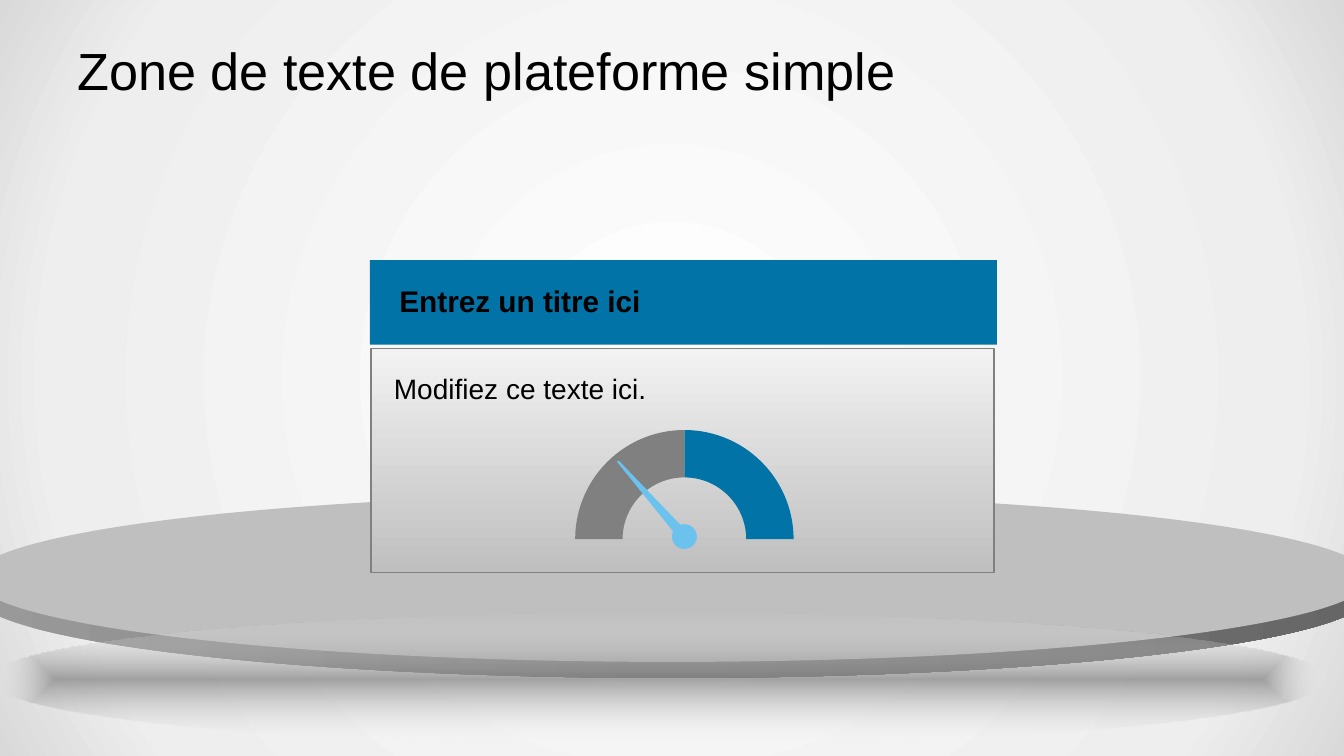
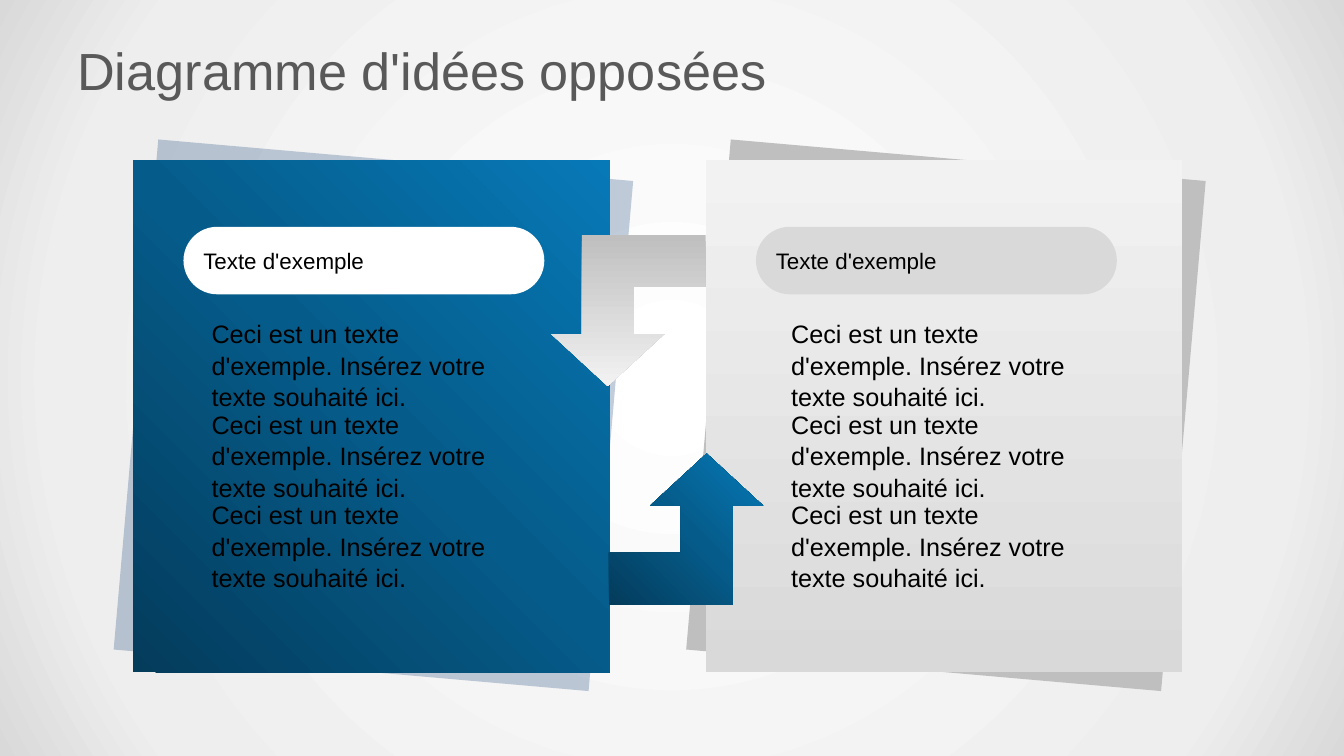
from math import cos, radians, sin

from lxml import etree
from pptx import Presentation
from pptx.dml.color import RGBColor
from pptx.enum.shapes import MSO_SHAPE
from pptx.enum.text import MSO_ANCHOR, MSO_AUTO_SIZE, PP_ALIGN
from pptx.oxml.ns import qn
from pptx.util import Inches, Pt

RECTANGLE = MSO_SHAPE.RECTANGLE
ROUNDED = MSO_SHAPE.ROUNDED_RECTANGLE
ELLIPSE = MSO_SHAPE.OVAL
BENT_ARROW = MSO_SHAPE.BENT_UP_ARROW
MIDDLE = MSO_ANCHOR.MIDDLE
LEFT = PP_ALIGN.LEFT
FIT_SHAPE = MSO_AUTO_SIZE.SHAPE_TO_FIT_TEXT
NO_FIT = MSO_AUTO_SIZE.NONE

# The slide is 40 square grid cells wide and 22.5 high
CELL = Inches(40 / 3) / 40
FONT = "Arial"

BLACK = RGBColor(0x00, 0x00, 0x00)
WHITE = RGBColor(0xFF, 0xFF, 0xFF)
TITLE_GRAY = RGBColor(0x59, 0x59, 0x59)
RIM_DARK = RGBColor(0x66, 0x66, 0x66)
GRAY = RGBColor(0x80, 0x80, 0x80)
RIM_LIGHT = RGBColor(0x99, 0x99, 0x99)
SILVER = RGBColor(0xBF, 0xBF, 0xBF)
LIGHT = RGBColor(0xD9, 0xD9, 0xD9)
MIST = RGBColor(0xEE, 0xEE, 0xEE)
PALE = RGBColor(0xF2, 0xF2, 0xF2)
BLUE = RGBColor(0x01, 0x73, 0xA6)
SKY = RGBColor(0x6B, 0xC2, 0xED)
NAVY = RGBColor(0x1F, 0x49, 0x7D)

# Gradient stops: position, colour, opacity (all in percent)
BACKDROP = [(0, WHITE, 100), (81, MIST, 100), (100, LIGHT, 100)]
DEEP_BLUE = [(0, RGBColor(0x04, 0x3C, 0x5C), 100),
             (50, RGBColor(0x05, 0x5B, 0x89), 100),
             (100, RGBColor(0x07, 0x79, 0xB7), 100)]
PANEL_GRAY = [(0, PALE, 100), (100, SILVER, 100)]
CARD_GRAY = [(0, LIGHT, 100), (100, PALE, 100)]
ARROW_GRAY = [(0, SILVER, 100), (100, PALE, 100)]
RIM_GRAY = [(0, RIM_LIGHT, 100), (50, GRAY, 100), (100, RIM_DARK, 100)]
SHADOW = [(0, GRAY, 70), (100, WHITE, 0)]

SAMPLE = "Ceci est un texte d'exemple. Insérez votre texte souhaité ici."


def grid(*cells):
    return [round(cell * CELL) for cell in cells]


def set_opacity(color, percent):
    etree.SubElement(color, qn("a:alpha"), val=str(percent * 1000))


def paint_gradient(owner, fill, stops, angle=0, shade=None):
    """Linear gradient at an angle, or a centred one of the given shade."""
    fill.gradient()
    gradient = next(owner.element.iter(qn("a:gradFill")))
    for child in list(gradient):
        gradient.remove(child)
    gradient.set("rotWithShape", "1")
    stop_list = etree.SubElement(gradient, qn("a:gsLst"))
    for position, color, opacity in stops:
        stop = etree.SubElement(stop_list, qn("a:gs"), pos=str(position * 1000))
        tone = etree.SubElement(stop, qn("a:srgbClr"), val=str(color))
        if opacity < 100:
            set_opacity(tone, opacity)
    if shade:
        centre = etree.SubElement(gradient, qn("a:path"))
        centre.set("path", shade)
        target = etree.SubElement(centre, qn("a:fillToRect"))
        for side in "ltrb":
            target.set(side, "50000")
    else:
        etree.SubElement(gradient, qn("a:lin"), ang=str(angle * 60000), scaled="0")


def finish(shape, color, opacity=100, line=None):
    """Flat look: no shadow, optional solid fill and outline."""
    shape.shadow.inherit = False
    if color is not None:
        shape.fill.solid()
        shape.fill.fore_color.rgb = color
    if opacity < 100:
        set_opacity(next(shape.element.iter(qn("a:srgbClr"))), opacity)
    if line is None:
        shape.line.fill.background()
    else:
        shape.line.color.rgb = line
        shape.line.width = Pt(1)


def add_figure(page, kind, place, color=None, stops=None, angle=0, shade=None,
               opacity=100, line=None, rotation=0, adjust=()):
    shape = page.shapes.add_shape(kind, *grid(*place))
    finish(shape, color, opacity, line)
    if stops:
        paint_gradient(shape, shape.fill, stops, angle, shade)
    shape.rotation = rotation
    for index, value in enumerate(adjust):
        shape.adjustments[index] = value
    return shape


def add_outline(page, points, color):
    corners = [grid(*point) for point in points]
    builder = page.shapes.build_freeform(*corners[0], scale=1.0)
    builder.add_line_segments(corners[1:], close=True)
    finish(builder.convert_to_shape(), color)


def write(box, text, size, color=BLACK, bold=False, anchor=None, spacing=None):
    frame = box.text_frame
    frame.word_wrap = True
    if anchor is not None:
        frame.vertical_anchor = anchor
    para = frame.paragraphs[0]
    para.alignment = LEFT
    para.line_spacing = spacing
    span = para.add_run()
    span.text = text
    span.font.name = FONT
    span.font.size = Pt(size)
    span.font.bold = bold
    span.font.color.rgb = color


def add_text(page, place, text, size, spacing=None):
    box = page.shapes.add_textbox(*grid(*place))
    write(box, text, size, spacing=spacing)
    box.text_frame.auto_size = FIT_SHAPE


def prepare_layout(deck):
    """Shared backdrop and title position."""
    master = deck.slide_master
    paint_gradient(master, master.background.fill, BACKDROP, shade="circle")
    layout = deck.slide_layouts.get_by_name("Title Only")
    title = layout.placeholders[0]
    title.left, title.top, title.width, title.height = grid(2, 0.9, 36, 2.34)
    return layout


def add_page(deck, layout, title, color):
    page = deck.slides.add_slide(layout)
    write(page.shapes.title, title, 37.3, color, anchor=MIDDLE)
    page.shapes.title.text_frame.auto_size = NO_FIT
    return page


def add_platform(page):
    left, top, width, height, thickness = -0.78, 14.7, 41.56, 5, 0.48
    add_figure(page, ELLIPSE, (left, top + thickness, width, height), stops=RIM_GRAY)
    add_figure(page, ELLIPSE, (left, top, width, height), SILVER)


def add_gauge(page, centre_x, centre_y):
    def ring_quarter(start, color):
        def arc(radius, angles):
            return [(centre_x + radius * cos(radians(angle)),
                     centre_y - radius * sin(radians(angle))) for angle in angles]
        angles = range(start, start + 91, 3)
        add_outline(page, arc(3.25, angles) + arc(1.84, reversed(angles)), color)

    ring_quarter(0, BLUE)
    ring_quarter(90, GRAY)
    # Hub and needle
    add_figure(page, ELLIPSE, (centre_x - 0.37, centre_y - 0.45, 0.74, 0.74), SKY)
    needle = [(-2.01, -2.31), (-1.95, -2.34), (0.12, -0.18), (-0.12, 0.03)]
    add_outline(page, [(centre_x + x, centre_y + y) for x, y in needle], SKY)


def add_card(page, left, stops, angle, pill_color, text_indent, backing, opacity=100):
    top, width, height = 4.77, 14.19, 15.24
    add_figure(page, RECTANGLE, (left + 0.06, top - 0.03, width, height), backing,
               opacity=opacity, rotation=5)
    add_figure(page, RECTANGLE, (left, top, width, height), stops=stops, angle=angle)
    for row in range(3):
        add_text(page, (left + text_indent, 9.3 + 2.69 * row, 9.75, 2.13),
                 SAMPLE, 18, spacing=1.04)
    pill = add_figure(page, ROUNDED, (left + 1.5, 6.75, 10.74, 2.01), pill_color,
                      adjust=[0.5])
    write(pill, "Texte d'exemple", 16, anchor=MIDDLE)


def add_arrow(page, left, top, stops, angle, rotation=0):
    add_figure(page, BENT_ARROW, (left, top, 4.59, 4.5), stops=stops, angle=angle,
               rotation=rotation, adjust=[0.344, 0.373, 0.344])


def build_platform_page(deck, layout):
    page = add_page(deck, layout, "Zone de texte de plateforme simple", BLACK)
    add_platform(page)
    # Panel with its header
    add_figure(page, RECTANGLE, (11.04, 10.38, 18.54, 6.66), stops=PANEL_GRAY,
               angle=90, line=GRAY)
    add_figure(page, RECTANGLE, (11.01, 7.74, 18.66, 2.52), BLUE)
    header = add_figure(page, ROUNDED, (11.49, 7.89, 17.73, 2.1), BLUE)
    write(header, "Entrez un titre ici", 21.3, bold=True, anchor=MIDDLE)
    add_text(page, (11.43, 10.92, 17.88, 1.32), "Modifiez ce texte ici.", 20)
    # Soft shadow below the platform
    add_figure(page, ELLIPSE, (-0.33, 18.24, 39.87, 3.96), stops=SHADOW, shade="shape")
    add_gauge(page, 20.37, 16.05)


def build_ideas_page(deck, layout):
    page = add_page(deck, layout, "Diagramme d'idées opposées", TITLE_GRAY)
    add_card(page, 3.96, DEEP_BLUE, 315, WHITE, 2.04, NAVY, opacity=27)
    add_card(page, 21, CARD_GRAY, 270, LIGHT, 2.25, SILVER)
    # Exchange arrows between the cards
    add_arrow(page, 18.12, 13.5, DEEP_BLUE, 315)
    add_arrow(page, 16.41, 6.99, ARROW_GRAY, 270, rotation=180)


def main():
    deck = Presentation()
    deck.slide_width, deck.slide_height = grid(40, 22.5)
    layout = prepare_layout(deck)
    build_platform_page(deck, layout)
    build_ideas_page(deck, layout)
    deck.save("out.pptx")


if __name__ == "__main__":
    main()
